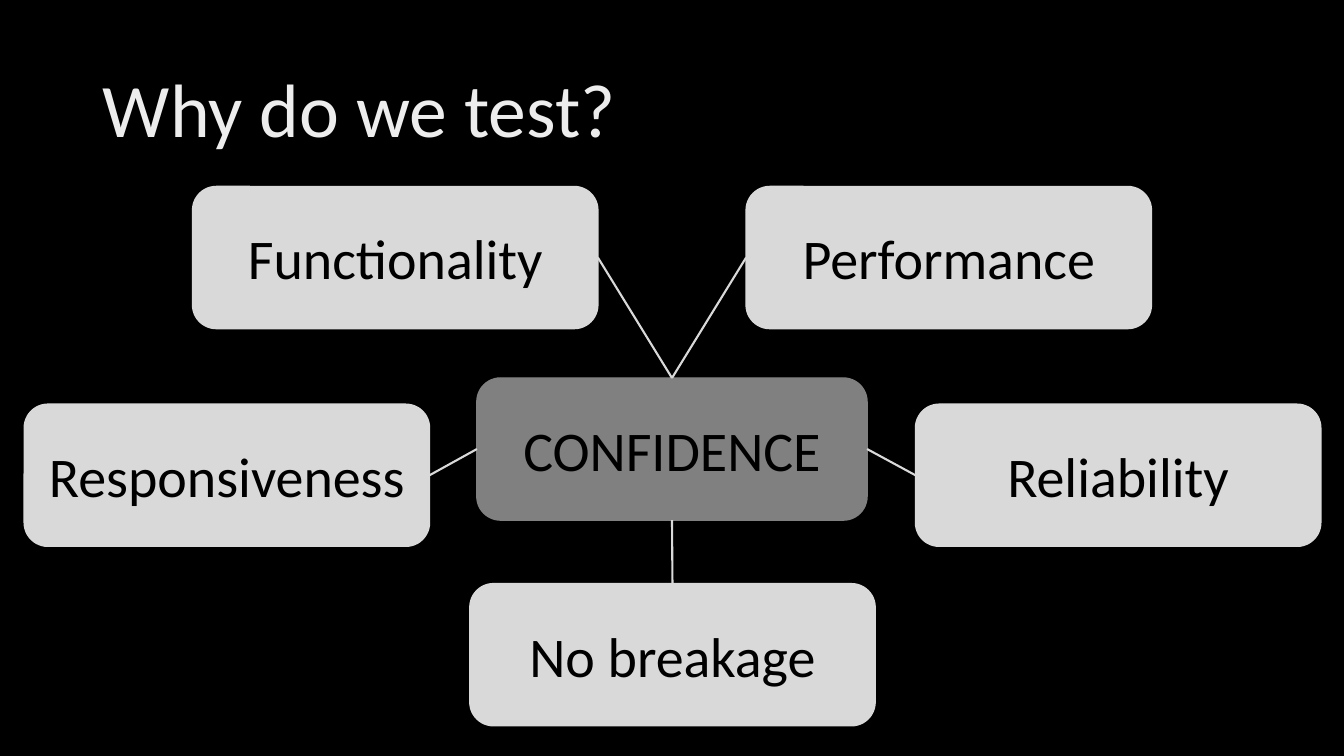
from pptx import Presentation
from pptx import util as u
from pptx.dml.color import RGBColor
from pptx.enum import shapes, text
from pptx.oxml.ns import qn
from lxml import etree

COLOURS = {
    "background": "000000",
    "title": "EDEDED",
    "centre": "808080",
    "reason": "D9D9D9",
    "label": "000000",
}
FONT = "Calibri"
BOX_HEIGHT = 1.41
REASON_WIDTH = 4.02
TOP, LEFT, BOTTOM, RIGHT = range(4)  # connection sites of a box

# label, left, top, site on the centre box, site on the reason box
REASONS = [
    ("Functionality", 1.91, 1.85, TOP, RIGHT),
    ("Performance", 7.4, 1.85, TOP, LEFT),
    ("Responsiveness", 0.24, 4.01, LEFT, RIGHT),
    ("Reliability", 9.08, 4.01, RIGHT, LEFT),
    ("No breakage", 4.66, 5.79, BOTTOM, TOP),
]


def colour(name):
    return RGBColor.from_string(COLOURS[name])


def write(shape, words, size, colour_name, alignment):
    frame = shape.text_frame
    frame.text = words
    frame.word_wrap = True
    frame.auto_size = text.MSO_AUTO_SIZE.NONE
    frame.vertical_anchor = text.MSO_ANCHOR.MIDDLE
    para = frame.paragraphs[0]
    para.alignment = alignment
    font = para.runs[0].font
    font.name = FONT
    font.size = u.Pt(size)
    font.color.rgb = colour(colour_name)
    return para


def set_title(page, words):
    title = page.shapes.title
    title.left, title.top = u.Inches(0.92), u.Inches(0.4)
    title.width, title.height = u.Inches(11.5), u.Inches(1.45)
    para = write(title, words, 54, "title", text.PP_ALIGN.LEFT)
    para.line_spacing = 0.9


def add_box(page, words, left, top, width, fill):
    box = page.shapes.add_shape(
        shapes.MSO_SHAPE.ROUNDED_RECTANGLE,
        u.Inches(left), u.Inches(top), u.Inches(width), u.Inches(BOX_HEIGHT))
    box.shadow.inherit = False
    box.fill.solid()
    box.fill.fore_color.rgb = colour(fill)
    box.line.color.rgb = colour(fill)
    box.line.width = u.Pt(1)
    write(box, words, 40, "label", text.PP_ALIGN.CENTER)
    return box


def join(page, start, start_site, end, end_site):
    line = page.shapes.add_connector(shapes.MSO_CONNECTOR.STRAIGHT, 0, 0, 0, 0)
    line.begin_connect(start, start_site)
    line.end_connect(end, end_site)
    line.line.color.rgb = colour("reason")
    line.line.width = u.Pt(1.5)
    etree.SubElement(line._element.spPr, qn("a:effectLst"))


def main():
    deck = Presentation()
    deck.slide_width, deck.slide_height = u.Inches(13.33), u.Inches(7.5)
    page = deck.slides.add_slide(deck.slide_layouts[5])
    page.background.fill.solid()
    page.background.fill.fore_color.rgb = colour("background")

    set_title(page, "Why do we test?")

    # Boxes
    centre = add_box(page, "CONFIDENCE", 4.73, 3.75, 3.87, "centre")
    reasons = [add_box(page, label, left, top, REASON_WIDTH, "reason")
               for label, left, top, _, _ in REASONS]

    # Lines from the centre to each reason
    for box, (_, _, _, centre_site, reason_site) in zip(reasons, REASONS):
        join(page, centre, centre_site, box, reason_site)

    deck.save("out.pptx")


if __name__ == "__main__":
    main()
